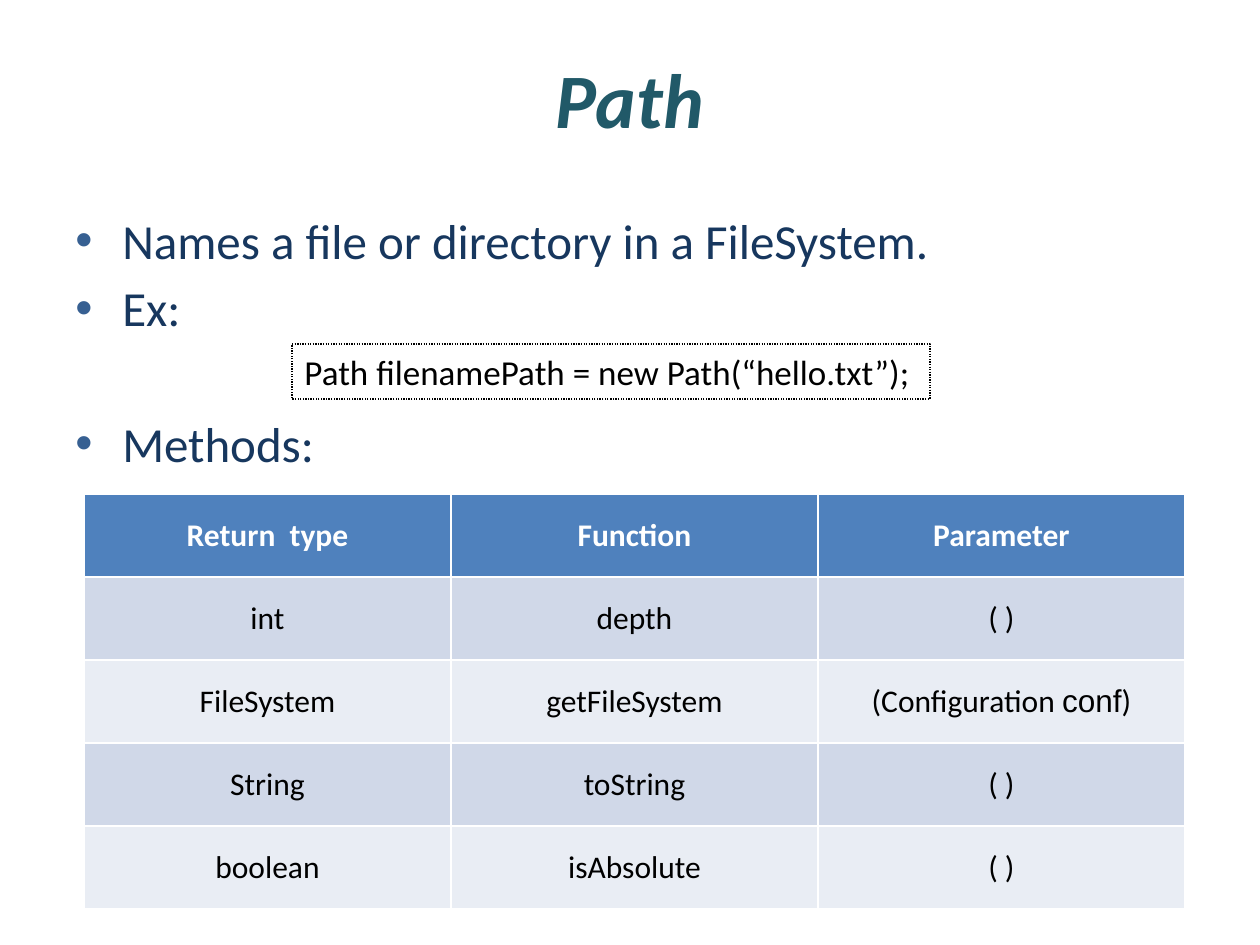
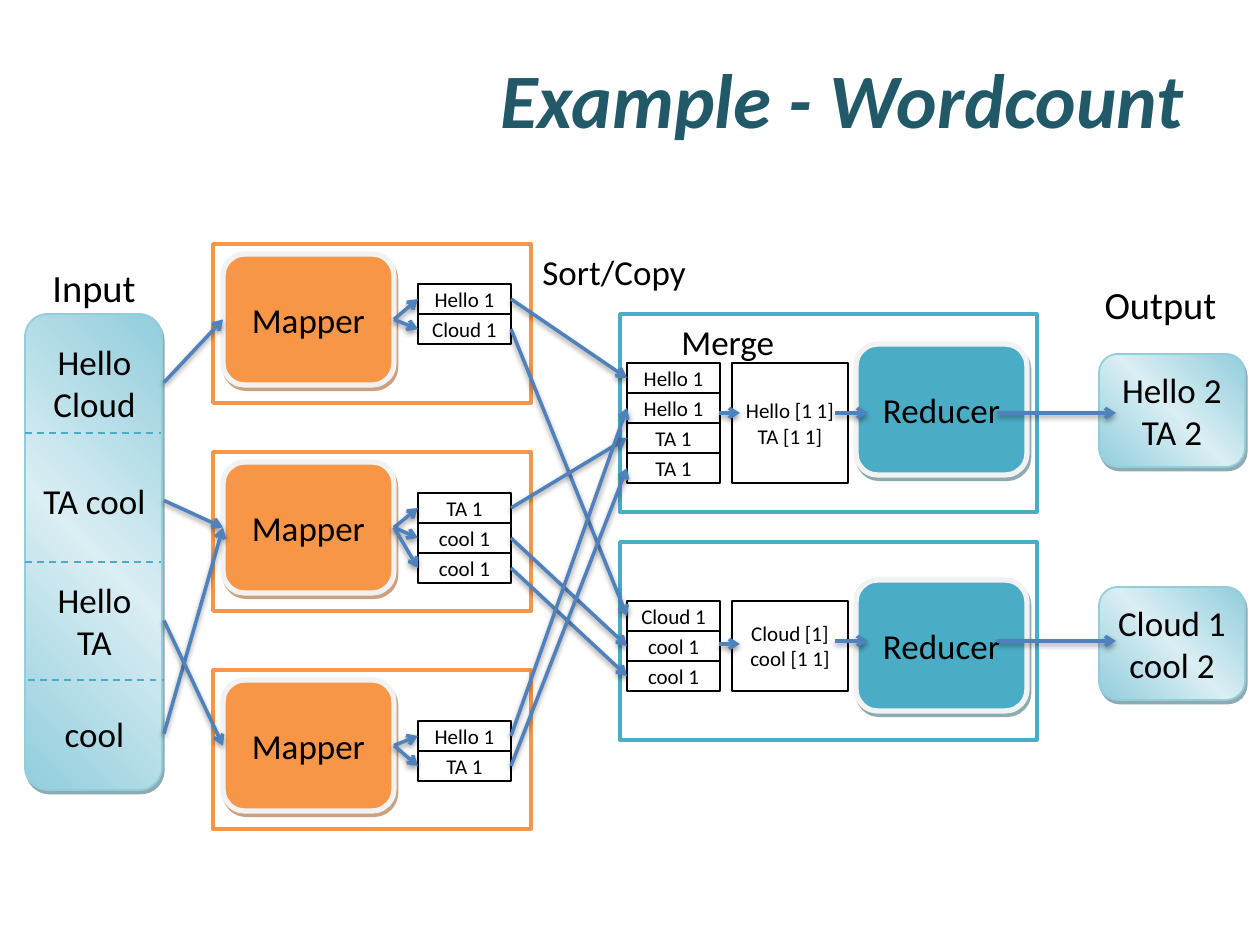
"""Build two slides: the Path class and the word count data flow."""
from copy import deepcopy

from lxml import etree
from pptx import Presentation
from pptx import util as u
from pptx.dml.color import RGBColor
from pptx.enum import dml, shapes, text
from pptx.oxml import parse_xml
from pptx.oxml.ns import nsdecls, qn

PX = 914400 / 126
HEX = {
    "title": "215968", "body": "17375E", "dot": "376092", "ink": "000000",
    "white": "FFFFFF", "blue": "4F81BD", "band": "D0D8E8", "pale": "E9EDF4",
    "orange": "F79646", "brown": "974706", "teal": "4BACC6", "deep": "205867",
    "aqua": "92CDDC", "light": "DAEEF3", "rim": "F2F2F2",
}
RGB = {name: RGBColor.from_string(code) for name, code in HEX.items()}
RECT = shapes.MSO_SHAPE.RECTANGLE
ROUND = shapes.MSO_SHAPE.ROUNDED_RECTANGLE
LEFT, MID, RIGHT = text.PP_ALIGN.LEFT, text.PP_ALIGN.CENTER, text.PP_ALIGN.RIGHT
TOP, HALF = text.MSO_ANCHOR.TOP, text.MSO_ANCHOR.MIDDLE
SHADE = ('<a:outerShdw {ns} blurRad="{blur}" dist="{dist}" dir="{turn}" algn="t" rotWithShape="0">'
         '<a:srgbClr val="{tint}"><a:alpha val="{alpha}"/></a:srgbClr></a:outerShdw>')


def write(frame, words, size=20, color="ink", align=MID, bold=False, italic=False, odd=None):
    """Fill a text frame, one paragraph a line; the odd word is set in Arial."""
    for i, line in enumerate(words.split("\n")):
        para = frame.add_paragraph() if i else frame.paragraphs[0]
        para.alignment = align
        for part in line.partition(odd) if odd else [line]:
            if part:
                run = para.add_run()
                run.text = part
                font = run.font
                font.name = "Arial" if part == odd else "Calibri"
                font.size, font.bold, font.italic = u.Pt(size), bold, italic
                font.color.rgb = RGB[color]


def block(sld, spot, words="", kind=None, fill=None, edge=None, width=0.75,
          shade=None, anchor=HALF, wrap=True, **style):
    """Add a text box, or a preset shape of the given kind, at a spot in px."""
    x, y, w, h = [round(n * PX) for n in spot]
    if kind is None:
        shape = sld.shapes.add_textbox(x, y, w, h)
    else:
        shape = sld.shapes.add_shape(kind, x, y, w, h)
        shape.shadow.inherit = False
        if fill == "sheen":
            shape.fill.gradient()
            shape.fill.gradient_angle = 45
            for stop in shape.fill.gradient_stops:
                stop.color.rgb = RGB["aqua"]
            stops = shape._element.spPr.find(".//" + qn("a:gsLst"))
            glow = deepcopy(stops[0])
            glow.set("pos", "50000")
            glow[0].set("val", HEX["light"])
            stops.insert(1, glow)
        elif fill:
            shape.fill.solid()
            shape.fill.fore_color.rgb = RGB[fill]
        else:
            shape.fill.background()
        shape.line.color.rgb = RGB[edge]
        shape.line.width = u.Pt(width)
        if shade:
            shape._element.spPr.find(qn("a:effectLst")).append(parse_xml(SHADE.format(
                ns=nsdecls("a"), blur=0, dist=28400, turn=3806100, tint=HEX[shade], alpha=50000)))
    frame = shape.text_frame
    frame.word_wrap = wrap
    frame.vertical_anchor = anchor
    if kind and wrap:
        frame.margin_left = frame.margin_right = frame.margin_top = frame.margin_bottom = 0
    if words:
        write(frame, words, **style)
    return shape


prs = Presentation()
prs.slide_width, prs.slide_height = round(1260 * PX), round(945 * PX)
pages = []
for words, align in [("Path", MID), ("Example - Wordcount", RIGHT)]:
    page = prs.slides.add_slide(prs.slide_layouts[6])
    block(page, (63, 38, 1134, 120), words, size=44, color="title", align=align,
          bold=True, italic=True)
    pages.append(page)
intro, flow = pages

body = block(intro, (63, 204, 1134, 624),
             "Names a file or directory in a FileSystem.\nEx:\nMethods:",
             anchor=TOP, size=28, color="body", align=LEFT)
for para, gap in zip(body.text_frame.paragraphs, [0, 5, 44]):
    para.space_before = u.Pt(gap)
    props = para._p.get_or_add_pPr()
    props.set("marL", str(round(47 * PX)))
    props.set("indent", str(round(-47 * PX)))
    tint = etree.SubElement(props, qn("a:buClr"))
    etree.SubElement(tint, qn("a:srgbClr"), val=HEX["dot"])
    etree.SubElement(props, qn("a:buFont"), typeface="Arial")
    etree.SubElement(props, qn("a:buChar"), char="•")

code = block(intro, (292, 344, 638, 55), "Path filenamePath = new Path(“hello.txt”);",
             RECT, edge="ink", wrap=False, align=LEFT)
code.line.dash_style = dml.MSO_LINE.ROUND_DOT

rows = [
    ("Return  type", "Function", "Parameter"),
    ("int", "depth", "( )"),
    ("FileSystem", "getFileSystem", "(Configuration conf)"),
    ("String", "toString", "( )"),
    ("boolean", "isAbsolute", "( )"),
]
grid = intro.shapes.add_table(5, 3, *[round(n * PX) for n in (84, 494, 1101, 415)]).table
for r, row in enumerate(rows):
    for c, words in enumerate(row):
        cell = grid.cell(r, c)
        cell.vertical_anchor = HALF
        cell.fill.solid()
        cell.fill.fore_color.rgb = RGB["blue" if r == 0 else "band" if r % 2 else "pale"]
        write(cell.text_frame, words, size=18, color="ink" if r else "white",
              bold=r == 0, odd="conf" if "conf)" in words else None)

block(flow, (25, 314, 137, 476), kind=ROUND, fill="sheen", edge="aqua", width=1, shade="deep")
splits = [block(flow, (25, y, 139, h), words, anchor=TOP) for words, y, h in [
    ("Hello Cloud", 334, 97), ("TA cool", 473, 55), ("Hello TA", 572, 97), ("cool", 706, 55)]]

maps, outs = [], []
for y, drop, pairs in [(244, 40, ["Hello 1", "Cloud 1"]),
                       (452, 41, ["TA 1", "cool 1", "cool 1"]),
                       (670, 51, ["Hello 1", "TA 1"])]:
    block(flow, (213, y, 318, 159), kind=RECT, fill="white", edge="orange", width=2)
    maps.append(block(flow, (223, y + 10, 171, 131), "Mapper", ROUND, "orange", "rim", 3, "brown"))
    outs.append([block(flow, (418, y + drop + 30 * i, 93, 30), words, RECT, "white", "ink", size=12)
                 for i, words in enumerate(pairs)])

ins = []
for y, top, turn, end, pairs, merged, total in [
        (314, 363, 344, 354, ["Hello 1", "Hello 1", "TA 1", "TA 1"],
         "Hello [1 1]\nTA [1 1]", "Hello 2\nTA 2"),
        (542, 601, 580, 587, ["Cloud 1", "cool 1", "cool 1"],
         "Cloud [1]\ncool [1 1]", "Cloud 1\ncool 2")]:
    block(flow, (620, y, 417, 198), kind=RECT, fill="white", edge="teal", width=2)
    block(flow, (732, top, 116, 30 * len(pairs)), merged, RECT, "white", "ink", size=12)
    block(flow, (856, turn, 171, 131), "Reducer", ROUND, "teal", "rim", 3, "deep")
    block(flow, (1099, end, 146, 113), total, ROUND, "sheen", "aqua", 1, "deep")
    ins.append([block(flow, (627, top + 30 * i, 93, 30), words, RECT, "white", "ink", size=12)
                for i, words in enumerate(pairs)])

for words, spot, size, align in [
        ("Input", (35, 258, 118, 59), 22, MID),
        ("Sort/Copy", (530, 244, 169, 55), 20, LEFT),
        ("Merge", (669, 314, 129, 55), 20, LEFT),
        ("Output", (1086, 275, 149, 59), 22, MID)]:
    block(flow, spot, words, anchor=TOP, size=size, align=align)

joins = [(splits[s], maps[m]) for s, m in [(0, 0), (1, 1), (3, 1), (2, 2)]]
joins += [(node, cell) for node, cells in zip(maps, outs) for cell in cells]
joins += [(outs[m][i], ins[r][j]) for m, i, r, j in [
    (0, 0, 0, 0), (0, 1, 1, 0), (1, 0, 0, 2), (1, 1, 1, 1),
    (1, 2, 1, 2), (2, 0, 0, 1), (2, 1, 0, 3)]]
wires = [(0, 0, 0, 0, pair) for pair in joins]
wires += [(x, y, end, y, None) for x, end, ys in [
    (719, 740, (413, 644)), (835, 868, (413, 641)), (997, 1116, (413, 641))] for y in ys]
wires += [(x, y, x + 136, y, "dash") for x, y in [(25, 433), (25, 562), (28, 680)]]

for *ends, mode in wires:
    wire = flow.shapes.add_connector(shapes.MSO_CONNECTOR.STRAIGHT, *[round(n * PX) for n in ends])
    dashed = mode == "dash"
    wire.line.color.rgb = RGB["teal" if dashed else "blue"]
    wire.line.width = u.Pt(1 if dashed else 2)
    props = wire._element.spPr
    glow = etree.SubElement(props, qn("a:effectLst"))
    if dashed:
        wire.line.dash_style = dml.MSO_LINE.DASH
        continue
    etree.SubElement(props.find(qn("a:ln")), qn("a:tailEnd"), type="arrow")
    glow.append(parse_xml(SHADE.format(
        ns=nsdecls("a"), blur=40000, dist=20000, turn=5400000, tint=HEX["ink"], alpha=38000)))
    if mode:
        wire.begin_connect(mode[0], 3)
        wire.end_connect(mode[1], 1)

prs.save("out.pptx")
